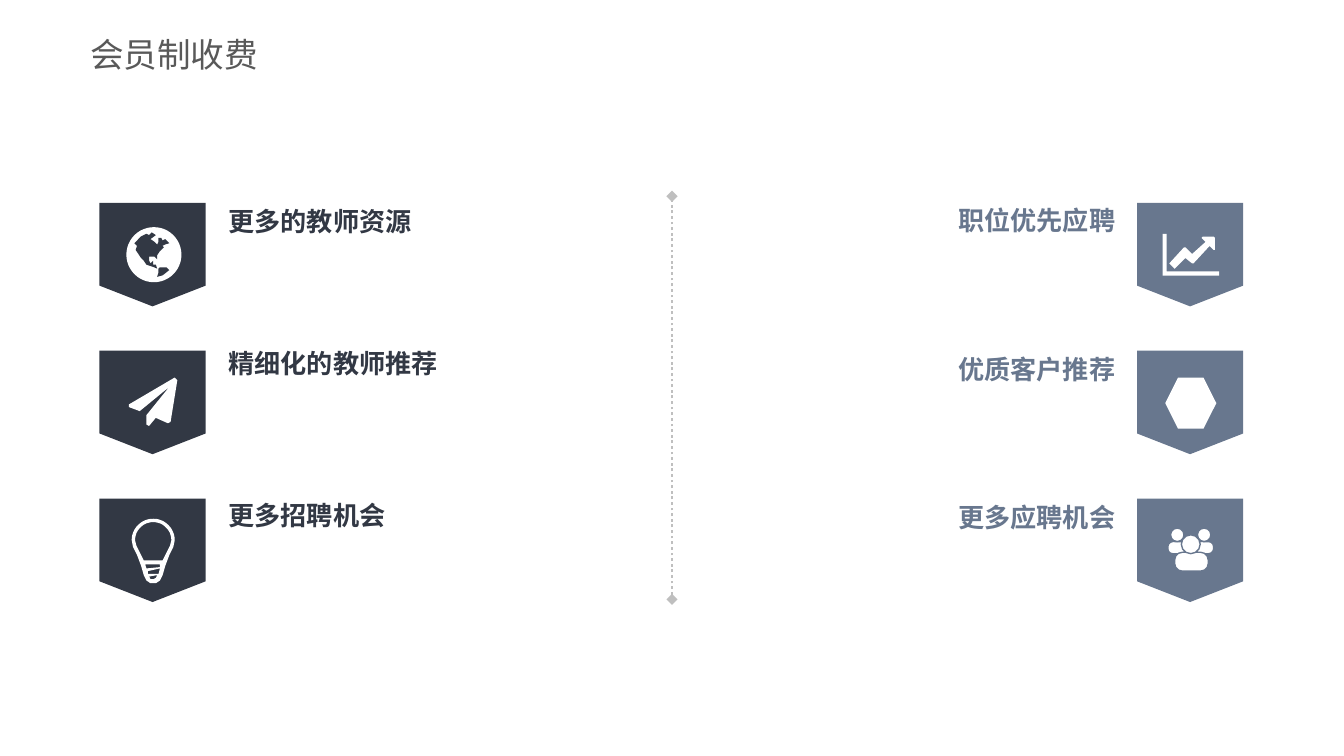
from math import cos, pi, sin

from lxml import etree
from pptx import Presentation
from pptx.dml.color import RGBColor
from pptx.enum.dml import MSO_LINE
from pptx.enum.shapes import MSO_CONNECTOR, MSO_SHAPE
from pptx.enum.text import MSO_ANCHOR, PP_ALIGN
from pptx.oxml.ns import qn
from pptx.util import Inches, Pt

BADGE = MSO_SHAPE.FLOWCHART_OFFPAGE_CONNECTOR
OVAL, ROUNDED, HEXAGON = MSO_SHAPE.OVAL, MSO_SHAPE.ROUNDED_RECTANGLE, MSO_SHAPE.HEXAGON
LEFT, RIGHT, MIDDLE = PP_ALIGN.LEFT, PP_ALIGN.RIGHT, MSO_ANCHOR.MIDDLE

COLORS = {"navy": "323844", "slate": "68778E", "rule": "BFBFBF",
          "title": "595959", "white": "FFFFFF"}
LABEL_FONT = "Noto Sans CJK SC"

# Grid: a 16:9 page with two badge columns and three rows
WIDTH = 10
HEIGHT = WIDTH * 9 / 16
LEFT_X, RIGHT_X = 0.74, 8.46
ROW_TOPS = [1.51 + 1.1 * row for row in range(3)]
BADGE_W, BADGE_H = 0.79, 0.77
LABEL_W, LABEL_H, LABEL_GAP = 1.8, 0.27, 0.16

deck = Presentation()
deck.slide_width, deck.slide_height = Inches(WIDTH), Inches(HEIGHT)
page = deck.slides.add_slide(deck.slide_layouts[5])


def add_preset(kind, left, top, width, height, color):
    shape = page.shapes.add_shape(
        kind, Inches(left), Inches(top), Inches(width), Inches(height))
    shape.shadow.inherit = False
    shape.fill.solid()
    shape.fill.fore_color.rgb = RGBColor.from_string(COLORS[color])
    shape.line.fill.background()
    return shape


def add_outline(left, top, contours, color):
    """Contours are in hundredths of an inch from the badge corner."""
    builder = None
    for contour in contours:
        points = [(x * 10, y * 10) for x, y in contour]
        if builder is None:
            builder = page.shapes.build_freeform(*points[0], scale=914.4)
        else:
            builder.move_to(*points[0])
        builder.add_line_segments(points[1:], close=True)
    shape = builder.convert_to_shape(Inches(left), Inches(top))
    shape.shadow.inherit = False
    shape.fill.solid()
    shape.fill.fore_color.rgb = RGBColor.from_string(COLORS[color])
    shape.line.fill.background()


# Title
title = page.shapes.title
title.left, title.top = Inches(0.67), Inches(0.19)
title.width, title.height = Inches(2.33), Inches(0.42)
frame = title.text_frame
frame.text = "会员制收费"
frame.word_wrap = True
frame.vertical_anchor = MIDDLE
frame.margin_left = frame.margin_right = 0
paragraph = frame.paragraphs[0]
paragraph.alignment = LEFT
paragraph.font.name = "Arial"
paragraph.font.size = Pt(18)
paragraph.font.color.rgb = RGBColor.from_string(COLORS["title"])

# Badges with their labels
columns = [
    (LEFT_X, LEFT_X + BADGE_W + 0.01, "navy", LEFT,
     [("更多的教师资源", 1.51), ("精细化的教师推荐", 2.57), ("更多招聘机会", 3.7)]),
    (RIGHT_X, RIGHT_X - LABEL_W, "slate", RIGHT,
     [("职位优先应聘", 1.5), ("优质客户推荐", 2.61), ("更多应聘机会", 3.71)]),
]
for badge_x, label_x, color, alignment, labels in columns:
    for row_top, (text, label_top) in zip(ROW_TOPS, labels):
        add_preset(BADGE, badge_x, row_top, BADGE_W, BADGE_H, color)
        box = page.shapes.add_textbox(Inches(label_x), Inches(label_top),
                                      Inches(LABEL_W), Inches(LABEL_H))
        frame = box.text_frame
        frame.word_wrap = True
        frame.vertical_anchor = MIDDLE
        frame.margin_top = frame.margin_bottom = 0
        frame.margin_left = Inches(LABEL_GAP if alignment == LEFT else 0)
        frame.margin_right = Inches(LABEL_GAP if alignment == RIGHT else 0)
        paragraph = frame.paragraphs[0]
        paragraph.text = text
        paragraph.alignment = alignment
        font = paragraph.font
        font.name, font.size, font.bold = LABEL_FONT, Pt(14), True
        font.color.rgb = RGBColor.from_string(COLORS[color])
        east_asian = etree.SubElement(paragraph._p.pPr.find(qn("a:defRPr")), qn("a:ea"))
        east_asian.set("typeface", LABEL_FONT)

# Dotted divider with diamond ends
divider = page.shapes.add_connector(MSO_CONNECTOR.STRAIGHT, Inches(WIDTH / 2), Inches(4.46),
                                    Inches(WIDTH / 2), Inches(1.46))
divider.line.color.rgb = RGBColor.from_string(COLORS["rule"])
divider.line.width = Pt(1.5)
divider.line.dash_style = MSO_LINE.ROUND_DOT
for end in ("a:headEnd", "a:tailEnd"):
    etree.SubElement(divider.line._ln, qn(end)).set("type", "diamond")
etree.SubElement(divider._element.spPr, qn("a:effectLst"))

# Globe icon
north_america = [
    (26, 30), (28, 32), (27, 35), (29, 38), (31, 41), (33, 43), (35, 46), (38, 47),
    (41, 48), (43, 49), (42, 46), (40, 46), (40, 43), (38, 45), (37, 43), (37, 40),
    (41, 40), (43, 42), (43, 39), (45, 36), (48, 33), (47, 32), (49, 31), (52, 30),
    (50, 28), (49, 27), (47, 28), (46, 26), (44, 26), (44, 29), (43, 31), (41, 29),
    (38, 27), (42, 24), (39, 22), (37, 24), (35, 23), (31, 25)]
south_america = [(52, 50), (50, 48), (47, 48), (45, 48), (44, 49), (44, 52), (43, 55), (47, 54)]
add_preset(OVAL, LEFT_X + 0.2, ROW_TOPS[0] + 0.18, 0.41, 0.41, "white")
add_outline(LEFT_X, ROW_TOPS[0], [north_america, south_america], "navy")

# Paper plane icon
plane = [(58, 22), (53, 53), (51, 54), (42, 50), (37, 56), (35, 55), (35, 48),
         (52, 27), (30, 45), (22, 42), (22, 40), (56, 20)]
add_outline(LEFT_X, ROW_TOPS[1], [plane], "white")

# Light bulb icon: symmetric glass around x = 40, then slits in the socket
bulb = []
for radius, side in [
    (16, [(15, 36), (12, 42), (9, 50), (7, 57), (5, 61), (2, 63)]),
    (13.5, [(12.5, 35), (9, 42), (7, 46)]),
]:
    dome = [(40 - radius * cos(pi * step / 24), 31 - radius * sin(pi * step / 24))
            for step in range(25)]
    right_side = [(40 + dx, y) for dx, y in side]
    left_side = [(40 - dx, y) for dx, y in reversed(side)]
    bulb.append(dome + right_side + left_side)
bulb += [[(34, 49), (45, 49), (45, 51), (35, 52)],
         [(36, 54), (45, 52), (44, 56), (36, 56)],
         [(37, 58), (43, 57), (42, 59), (40, 60), (38, 60)]]
add_outline(LEFT_X, ROW_TOPS[2], bulb, "white")

# Rising chart icon
axes = [(19, 23), (22, 23), (22, 51), (61, 51), (61, 54), (19, 54)]
arrow = [(58, 35), (57, 35), (54, 32), (42, 45), (41, 45), (36, 41), (28, 49), (24, 45),
         (35, 33), (36, 33), (41, 38), (51, 29), (48, 26), (49, 25), (57, 25), (58, 26)]
add_outline(RIGHT_X, ROW_TOPS[0], [axes, arrow], "white")

# Plain hexagon icon
add_preset(HEXAGON, RIGHT_X + 0.21, ROW_TOPS[1] + 0.2, 0.38, 0.38, "white")

# People icon, back to front
for kind, dx, dy, width, height in [
    (ROUNDED, 0.23, 0.32, 0.13, 0.09), (ROUNDED, 0.44, 0.32, 0.13, 0.09),
    (OVAL, 0.25, 0.22, 0.1, 0.1), (OVAL, 0.45, 0.22, 0.1, 0.1),
    (ROUNDED, 0.28, 0.4, 0.25, 0.14), (OVAL, 0.33, 0.27, 0.14, 0.14),
]:
    person = add_preset(kind, RIGHT_X + dx, ROW_TOPS[2] + dy, width, height, "white")
    person.line.color.rgb = RGBColor.from_string(COLORS["slate"])
    person.line.width = Pt(0.75)
    if kind == ROUNDED:
        person.adjustments[0] = 0.4

deck.save("out.pptx")
